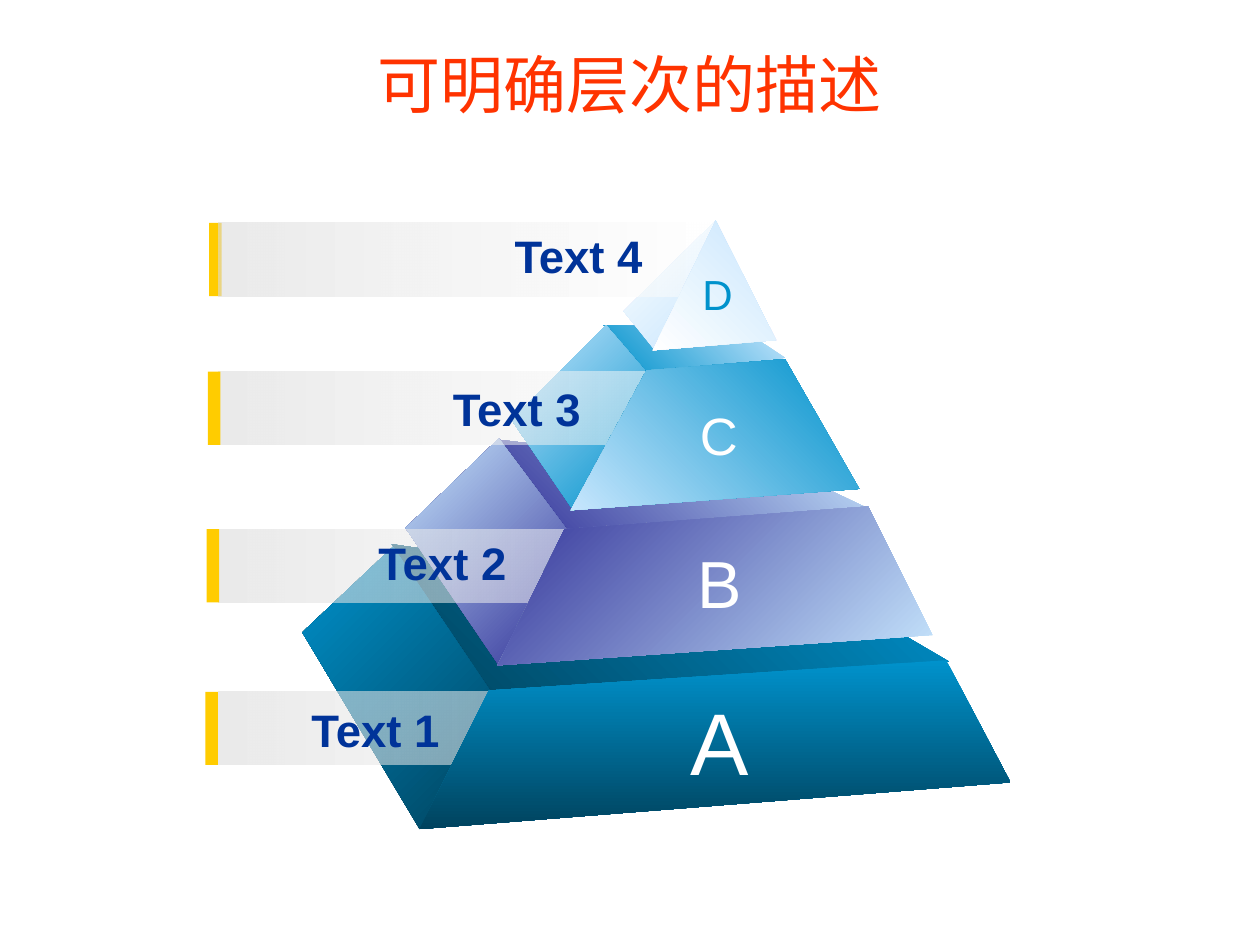
"""Build a slide with a four-level pyramid, level letters and side labels."""
from lxml import etree
from pptx import Presentation
from pptx.dml.color import RGBColor
from pptx.enum.shapes import MSO_SHAPE
from pptx.enum.text import MSO_ANCHOR, PP_ALIGN
from pptx.oxml.ns import qn
from pptx.util import Pt

RECT = MSO_SHAPE.RECTANGLE
MIDDLE = MSO_ANCHOR.MIDDLE
CENTER, RIGHT = PP_ALIGN.CENTER, PP_ALIGN.RIGHT
SKY, TEAL, DEEP, VIOLET = "C7E6FD", "0092CC", "00435E", "333399"
WHITE, GREY, GOLD, NAVY, RED = "FFFFFF", "DDDDDD", "FFCC00", "003399", "FF3300"


def paint(shape, colors, angle=0, alphas=()):
    shape.shadow.inherit = False
    shape.line.fill.background()
    fill = shape.fill
    if len(colors) == 1:
        fill.solid()
        fill.fore_color.rgb = RGBColor.from_string(colors[0])
        return
    fill.gradient()
    fill.gradient_angle = (360 - angle) % 360
    for place, (stop, color) in enumerate(zip(fill.gradient_stops, colors)):
        stop.position = place
        stop.color.rgb = RGBColor.from_string(color)
    for node, alpha in zip(shape._element.iter(qn("a:srgbClr")), alphas):
        etree.SubElement(node, qn("a:alpha")).set("val", str(alpha * 1000))


def write(text, box, size, color, align=CENTER, bold=False):
    frame = slide.shapes.add_textbox(*map(Pt, box)).text_frame
    frame.word_wrap = True
    frame.vertical_anchor = MIDDLE
    para = frame.paragraphs[0]
    para.text = text
    para.alignment = align
    font = para.font
    font.name, font.size, font.bold = "Arial", Pt(size), bold
    font.color.rgb = RGBColor.from_string(color)


deck = Presentation()
deck.slide_width, deck.slide_height = Pt(720), Pt(540)
slide = deck.slides.add_slide(deck.slide_layouts[6])

write("可明确层次的描述", (0, 18, 720, 59.8), 36, RED)

tops_sides = [
    ((SKY, TEAL), 135, [(369.4, 212.4), (448.6, 204.5), (423.4, 187.9), (344.9, 185.8)]),
    ((SKY, VIOLET), 135, [(323.3, 303.1), (496.8, 290.9), (455.8, 271.4), (285.1, 251.3)]),
    ((TEAL, DEEP), 135, [(279.4, 394.6), (542.2, 378), (495.4, 350.6), (223.9, 311)]),
    ((DEEP, TEAL), 225, [(239.8, 473.8), (280.1, 394.6), (224.6, 312.5), (172.8, 361.4)]),
    ((VIOLET, SKY), 225, [(285.1, 380.2), (231.8, 301.7), (285.1, 250.6), (323.3, 301.7)]),
    ((SKY, WHITE), 225, [(373.7, 199.4), (356.4, 177.8), (409, 126)]),
    ((TEAL, SKY), 225, [(327.6, 291.6), (368.6, 211.7), (346.3, 185.8), (292.3, 239.8)]),
]
fronts = [
    ((SKY, WHITE), 135, [(373, 200.2), (443.5, 194.4), (409, 126)]),
    ((TEAL, DEEP), 90, [(239.8, 473.8), (577.4, 447.1), (540.7, 377.3), (279.4, 394.6)]),
    ((SKY, VIOLET), 225, [(284.4, 380.2), (532.8, 362.9), (496.1, 289.4), (322.6, 302.4)]),
    ((TEAL, SKY), 135, [(326.2, 291.6), (491, 279.4), (448.6, 205.2), (369.4, 211.7)]),
]
bars = []
for row, top in enumerate((127.4, 212.4, 302.4, 395.3)):
    band = (124.6, 283.7, top, (GREY, WHITE), (60, 50))
    tab = (119.5 - 0.7 * row, 7.2, top, (GOLD,), ())
    bars += [band, tab] if row else [tab, band]

for faces, strips in ((tops_sides, bars), (fronts, [])):
    for colors, angle, points in faces:
        first, *rest = [(Pt(x), Pt(y)) for x, y in points]
        path = slide.shapes.build_freeform(*first)
        path.add_line_segments(rest, close=True)
        paint(path.convert_to_shape(), colors, angle)
    for left, width, top, colors, alphas in strips:
        bar = slide.shapes.add_shape(RECT, Pt(left), Pt(top), Pt(width), Pt(41.8))
        paint(bar, colors, 0, alphas)

for text, left, top, width in (
    ("Text 4", 229.7, 130.3, 144.7),
    ("Text 3", 191.5, 217.4, 147.6),
    ("Text 2", 167, 305.3, 129.6),
    ("Text 1", 134.6, 401, 123.8),
):
    write(text, (left, top, width, 31.7), 26, NAVY, RIGHT, True)

for text, box, size, color in (
    ("D", (386.6, 151.9, 46.8, 31.7), 24, TEAL),
    ("C", (387.4, 232.6, 46.8, 31.7), 30, WHITE),
    ("B", (378, 306.7, 66.2, 51.1), 38, WHITE),
    ("A", (359.3, 392.4, 103.7, 61.2), 50, WHITE),
):
    write(text, box, size, color)

deck.save("out.pptx")
